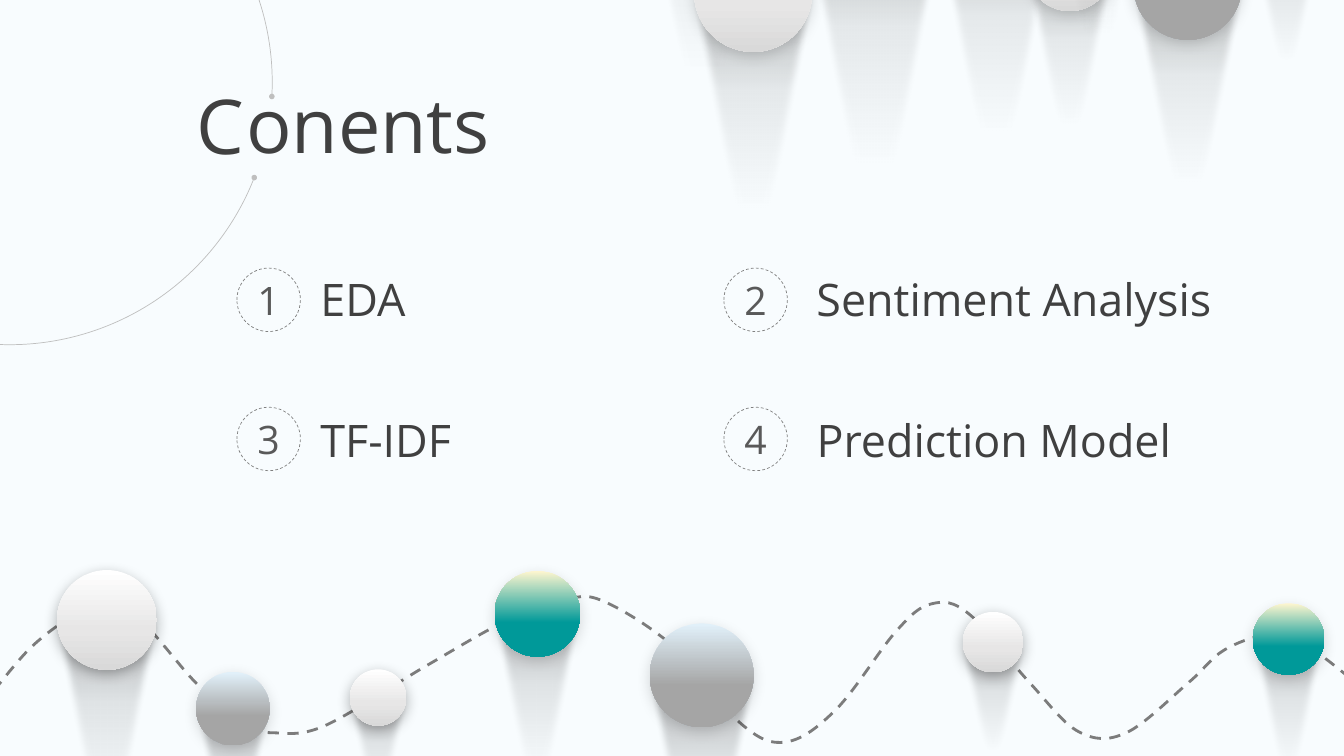
from dataclasses import dataclass
from typing import Optional

from lxml import etree
from pptx import Presentation
from pptx import util as u
from pptx.dml.color import RGBColor
from pptx.enum import dml, shapes, text
from pptx.oxml import ns

FONT, INK, MUTED = "Open Sans", "404040", "595959"
Point = tuple[float, float]


@dataclass(frozen=True)
class Stop:
    pos: int
    color: str
    alpha: int = 100


@dataclass(frozen=True)
class Ball:
    diameter: float
    stops: tuple[Stop, ...]
    shadow: int = 15


@dataclass(frozen=True)
class Pillar:
    """A cast shadow hanging from (cx, top), with an optional ball centred there."""
    cx: float
    top: float
    width: float
    height: float
    ball: Optional[Ball] = None


@dataclass(frozen=True)
class Item:
    number: str
    label: str
    width: float


WHITE = (Stop(0, "FFFFFF"), Stop(60, "E7E6E6"), Stop(100, "D9D9D9"))
GREY = (Stop(1, "E1F0F9"), Stop(60, "A5A5A5"), Stop(100, "A5A5A5"))
TEAL = (Stop(0, "FFF6CF"), Stop(60, "009999"), Stop(100, "009999"))
HIGH_CAST = (Stop(30, "000000", 0), Stop(50, "000000", 4),
             Stop(70, "000000", 8), Stop(100, "262626", 30))
LOW_CAST = (Stop(30, "000000", 0), Stop(50, "000000", 5),
            Stop(70, "000000", 10), Stop(100, "000000", 30))
HIGH_PILLARS = [
    Pillar(9.16, -1.44, 0.64, 1.6), Pillar(10.19, -1.63, 0.84, 2.1),
    Pillar(9.97, -2.83, 1.37, 3.4), Pillar(9.44, -2.1, 1.03, 2.56),
    Pillar(12.76, -0.59, 0.78, 1.83), Pillar(10.61, -0.32, 0.95, 2.36, Ball(0.86, WHITE)),
    Pillar(9.88, -0.81, 1.28, 3.2), Pillar(6.99, -1.75, 1.49, 3.69),
    Pillar(8.26, -1.62, 0.9, 2.23), Pillar(8.1, -2.23, 0.96, 2.36),
    Pillar(8.67, -0.85, 1.49, 3.69), Pillar(7.83, -1.2, 1, 2.5),
    Pillar(7.47, -0.07, 1.28, 3.2, Ball(1.17, WHITE)), Pillar(10.89, -1.61, 1.18, 2.93),
    Pillar(11.36, -1.04, 0.69, 1.56), Pillar(11.78, -0.14, 1.18, 2.93, Ball(1.07, GREY)),
]
LOW_PILLARS = [
    Pillar(1.06, 6.15, 1.1, 2.72, Ball(0.99, WHITE, 30)),
    Pillar(2.31, 7.03, 0.81, 2, Ball(0.73, GREY)),
    Pillar(3.75, 6.92, 0.66, 1.53, Ball(0.56, WHITE, 30)),
    Pillar(5.33, 6.09, 0.94, 2.33, Ball(0.85, TEAL)),
    Pillar(6.96, 6.7, 1.14, 2.8, Ball(1.03, GREY)),
    Pillar(9.85, 6.37, 0.72, 1.65, Ball(0.6, WHITE, 30)),
    Pillar(12.78, 6.34, 0.78, 1.93, Ball(0.71, TEAL)),
]
WAVE = [
    (-0.06, 6.85), (0.29, 6.44), (0.64, 6.16), (0.92, 6.02), (1.25, 6.06), (1.49, 6.25),
    (1.91, 6.74), (2.24, 7.05), (2.46, 7.2), (2.71, 7.27), (3.22, 7.2), (4.22, 6.61),
    (5, 6.17), (5.54, 5.98), (5.95, 5.95), (6.7, 6.43), (7.35, 7.18), (7.8, 7.36),
    (8.3, 7.03), (8.89, 6.26), (9.24, 5.99), (9.61, 6.09), (10.21, 6.77), (10.7, 7.26),
    (11.17, 7.27), (11.79, 6.77), (12.14, 6.45), (12.58, 6.3), (12.95, 6.4), (13.42, 6.75),
]
ITEMS = [Item("1", "EDA", 1.1), Item("2", "Sentiment Analysis", 4.27),
         Item("3", "TF-IDF", 1.74), Item("4", "Prediction Model", 3.89)]
BADGE_X, LABEL_X = (2.35, 7.18), (3.08, 8)


def rgb(color: str) -> RGBColor:
    return RGBColor.from_string(color)


def box(*lengths: float) -> list[u.Length]:
    return [u.Inches(n) for n in lengths]


def child(parent, tag: str, **attrs):
    return etree.SubElement(parent, ns.qn(tag), {k: str(v) for k, v in attrs.items()})


def add_color(parent, color: str, alpha: int) -> None:
    node = child(parent, "a:srgbClr", val=color)
    if alpha < 100:
        child(node, "a:alpha", val=alpha * 1000)


def paint(sp, stops: tuple[Stop, ...]):
    """Fill with a vertical gradient, drop line and shadow, return the effect list."""
    sp.fill.gradient()
    sp.fill.gradient_angle = 270
    gs_list = sp._element.spPr.find(".//" + ns.qn("a:gsLst"))
    for old in list(gs_list):
        gs_list.remove(old)
    for stop in stops:
        add_color(child(gs_list, "a:gs", pos=stop.pos * 1000), stop.color, stop.alpha)
    sp.line.fill.background()
    sp.shadow.inherit = False
    return sp._element.spPr.find(ns.qn("a:effectLst"))


def outline(sp, color: str, width: float, dashed: bool = True) -> None:
    sp.fill.background()
    sp.shadow.inherit = False
    sp.line.color.rgb = rgb(color)
    sp.line.width = u.Pt(width)
    if dashed:
        sp.line.dash_style = dml.MSO_LINE.DASH


def add_curve(parent, points: list[Point], curves: int, close: bool = False):
    """Freeform whose first points, three by three after the start, are cubic curves."""
    emu = [box(*point) for point in points]
    builder = parent.build_freeform(*emu[0])
    builder.add_line_segments(emu[1:], close=close)
    sp = builder.convert_to_shape()
    lines = list(sp._element.spPr.iter(ns.qn("a:lnTo")))
    for i in range(0, curves * 3, 3):
        cubic = etree.Element(ns.qn("a:cubicBezTo"))
        lines[i].addprevious(cubic)
        for line in lines[i:i + 3]:
            cubic.append(line[0])
            line.getparent().remove(line)
    return sp


def smooth(points: list[Point]) -> list[Point]:
    """Start, then control, control and end point of each Catmull-Rom curve."""
    ends = [points[0], *points, points[-1]]
    curve = [points[0]]
    for before, a, b, after in zip(ends, ends[1:], ends[2:], ends[3:]):
        curve += [tuple(q + (r - p) / 6 for p, q, r in zip(before, a, b)),
                  tuple(q - (r - p) / 6 for p, q, r in zip(a, b, after)), b]
    return curve


def add_pillar(parent, pillar: Pillar, cast: tuple[Stop, ...]) -> None:
    profile = [(-0.5, 1), (-0.34, 0.67), (-0.04, 0), (0, 0),
               (0.04, 0), (0.34, 0.67), (0.5, 1)]
    points = [(pillar.cx + x * pillar.width, pillar.top + y * pillar.height) for x, y in profile]
    sp = add_curve(parent, points, 2, close=True)
    sp.rotation = 180
    child(paint(sp, cast), "a:softEdge", rad=u.Pt(5))
    if pillar.ball:
        d = pillar.ball.diameter
        ball = parent.add_shape(shapes.MSO_SHAPE.OVAL,
                                *box(pillar.cx - d / 2, pillar.top - d / 2, d, d))
        shadow = child(paint(ball, pillar.ball.stops), "a:outerShdw", blurRad=u.Pt(10),
                       dist=u.Pt(3), dir=90 * 60000, algn="t", rotWithShape=0)
        add_color(shadow, "000000", pillar.ball.shadow)


def write(sp, words: str, size: int, color: str = INK, centred: bool = False) -> None:
    tf = sp.text_frame
    tf.word_wrap = False
    tf.vertical_anchor = text.MSO_ANCHOR.MIDDLE if centred else text.MSO_ANCHOR.TOP
    p = tf.paragraphs[0]
    p.alignment = text.PP_ALIGN.CENTER if centred else text.PP_ALIGN.LEFT
    r = p.add_run()
    r.text = words
    r.font.name, r.font.size, r.font.color.rgb = FONT, u.Pt(size), rgb(color)


def add_item(s, index: int, item: Item) -> None:
    row, col = divmod(index, 2)
    badge = s.shapes.add_shape(shapes.MSO_SHAPE.OVAL, *box(BADGE_X[col], 2.66 + 1.38 * row, 0.63, 0.63))
    outline(badge, "808080", 0.5)
    write(badge, item.number, 28, MUTED, centred=True)
    label = s.shapes.add_textbox(*box(LABEL_X[col], 2.65 + 1.4 * row, item.width, 0.64))
    write(label, item.label, 32)


def main() -> None:
    prs = Presentation()
    prs.slide_width, prs.slide_height = box(13.33, 7.5)
    s = prs.slides.add_slide(prs.slide_layouts[5])
    s.background.fill.solid()
    s.background.fill.fore_color.rgb = rgb("F8FCFE")
    high = s.shapes.add_group_shape().shapes
    for pillar in HIGH_PILLARS:
        add_pillar(high, pillar, HIGH_CAST)
    arc = s.shapes.add_shape(shapes.MSO_SHAPE.ARC, *box(-2.51, -1.79, 5.21, 5.21))
    arc.adjustments[0], arc.adjustments[1] = 12.794, 1.883
    outline(arc, "BFBFBF", 0.5, dashed=False)
    for end in ("a:headEnd", "a:tailEnd"):
        child(arc.line._get_or_add_ln(), end, type="oval", w="sm", len="sm")
    outline(add_curve(s.shapes, smooth(WAVE), len(WAVE) - 1), "7C7C7C", 2)
    for pillar in LOW_PILLARS:
        add_pillar(s.shapes.add_group_shape().shapes, pillar, LOW_CAST)
    write(s.shapes.add_textbox(*box(1.85, 0.73, 0.69, 1.01)), "C", 54)
    title = s.shapes.title
    title.left, title.top, title.width, title.height = box(2.34, 0.72, 2.75, 1.01)
    write(title, "onents", 54)
    for index, item in enumerate(ITEMS):
        add_item(s, index, item)
    prs.save("out.pptx")


if __name__ == "__main__":
    main()
